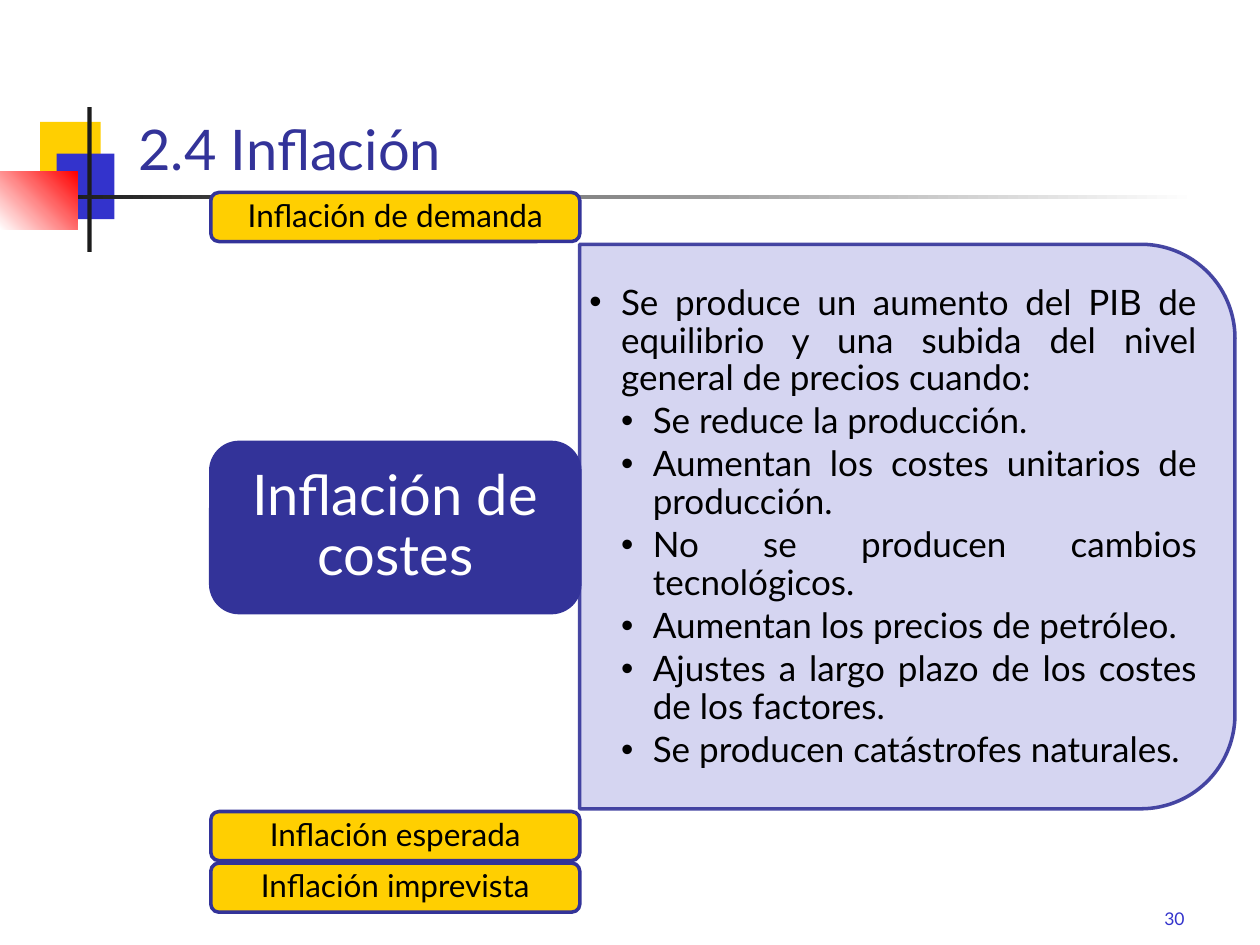
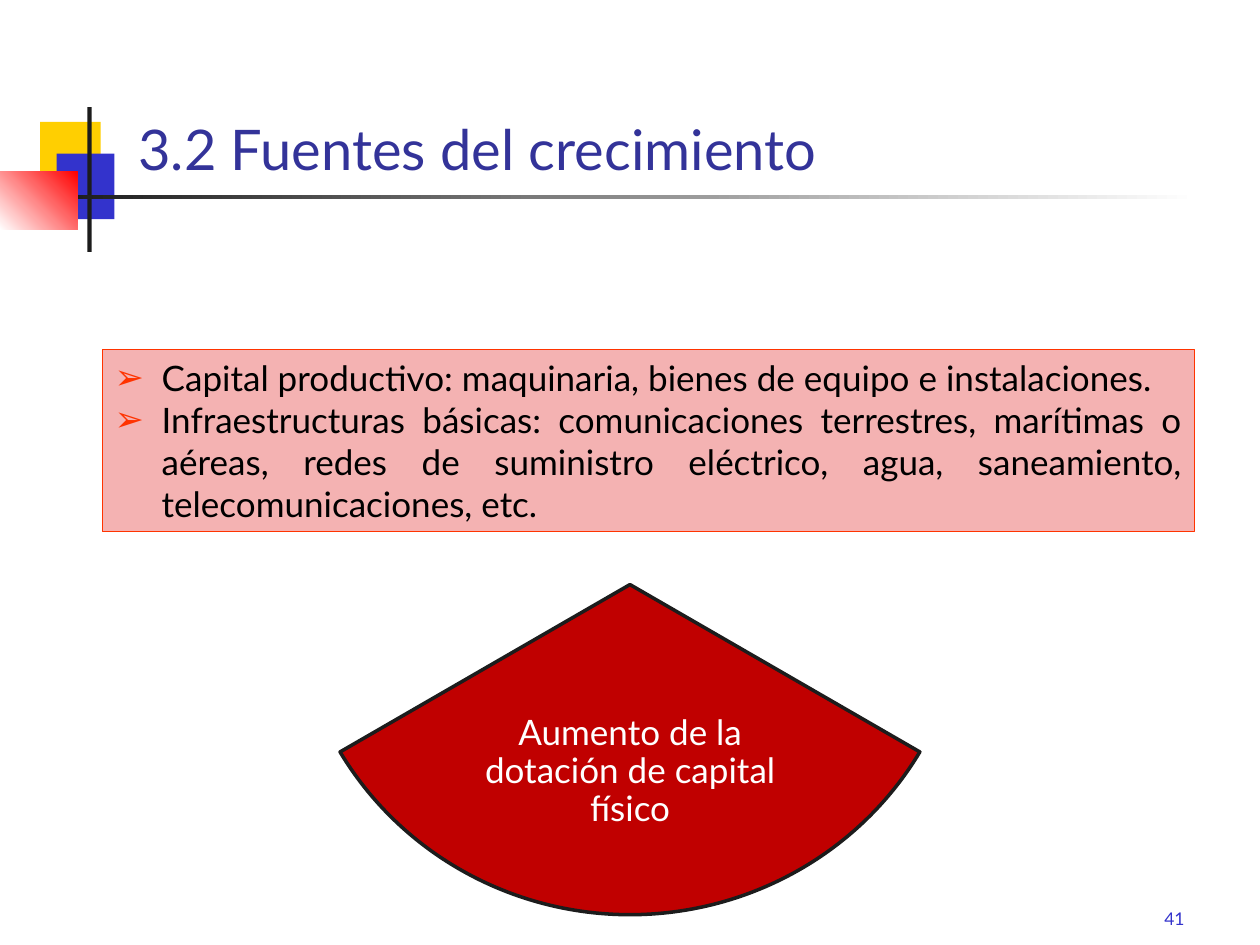
"""Build two economics slides on inflation and sources of growth."""
from dataclasses import dataclass
from typing import Any, NamedTuple, Optional

import lxml.etree
import pptx
import pptx.dml.color
import pptx.enum.shapes
import pptx.enum.text
import pptx.oxml.ns
import pptx.util

Cm = pptx.util.Cm
Pt = pptx.util.Pt
qn = pptx.oxml.ns.qn
SHAPE = pptx.enum.shapes.MSO_SHAPE
ALIGN = pptx.enum.text.PP_ALIGN
ANCHOR = pptx.enum.text.MSO_ANCHOR


@dataclass(frozen=True)
class Theme:
    font: str = "Lato"
    black: str = "000000"
    white: str = "FFFFFF"
    ink: str = "1C1C1C"
    navy: str = "333399"
    blue: str = "3333CC"
    yellow: str = "FFCF01"
    red: str = "FF0000"
    lavender: str = "D1D1F0"
    crimson: str = "C00000"
    pink: str = "F4B2B2"
    orange: str = "FF3300"
    title_size: int = 32
    body_size: int = 20
    label_size: int = 18
    number_size: int = 10


T = Theme()


class Box(NamedTuple):
    left: float
    top: float
    width: float
    height: float


class Block(NamedTuple):
    box: Box
    color: str
    fade_to: Optional[str] = None
    angle: int = 0


class Label(NamedTuple):
    text: str
    top: float
    height: float = 0.99
    fill: str = T.yellow
    color: str = T.black
    size: int = T.label_size
    inset: tuple[float, float] = (0.18, 0.1)


class Item(NamedTuple):
    text: str
    level: int = 0


@dataclass(frozen=True)
class ListStyle:
    bullet: str
    bullet_color: str
    indent: float
    spacing: float
    after: int
    inset: tuple[float, float]


BLOCKS = [
    Block(Box(0.81, 2.46, 1.22, 1.32), T.yellow),
    Block(Box(1.14, 3.1, 1.17, 1.32), T.blue),
    Block(Box(1.76, 2.16, 0.09, 2.92), T.ink),
    Block(Box(1.27, 3.93, 22.86, 0.08), T.ink, T.white),
    Block(Box(0, 3.45, 1.56, 1.18), T.white, T.red, 45),
]
TITLE_BOX = Box(2.54, 0.84, 21.59, 2.97)
NUMBER_BOX = Box(18.85, 17.58, 5.28, 1.27)

LABEL_LEFT, LABEL_WIDTH = 4.25, 7.44
LABELS = [
    Label("Inflación de demanda", 3.88),
    Label("Inflación de costes", 8.92, 3.43, T.navy, T.white, T.title_size, (0.33, 0.18)),
    Label("Inflación esperada", 16.36),
    Label("Inflación imprevista", 17.4),
]
COST_ITEMS = [
    Item("Se produce un aumento del PIB de equilibrio y una subida del nivel general de precios cuando:"),
    Item("Se reduce la producción.", 1),
    Item("Aumentan los costes unitarios de producción.", 1),
    Item("No se producen cambios tecnológicos.", 1),
    Item("Aumentan los precios de petróleo.", 1),
    Item("Ajustes a largo plazo de los costes de los factores.", 1),
    Item("Se producen catástrofes naturales.", 1),
]
CAPITAL_ITEMS = [
    Item("Capital productivo: maquinaria, bienes de equipo e instalaciones."),
    Item("Infraestructuras básicas: comunicaciones terrestres, marítimas o aéreas, redes de "
         "suministro eléctrico, agua, saneamiento, telecomunicaciones, etc."),
]
COST_STYLE = ListStyle("•", T.black, 0.64, 0.9, 3, (0.2, 0.1))
CAPITAL_STYLE = ListStyle("➢", T.orange, 0.95, 1.0, 0, (0.25, 0.13))


def rgb(color: str) -> pptx.dml.color.RGBColor:
    return pptx.dml.color.RGBColor.from_string(color)


def apply(obj: Any, values: dict[str, Any]) -> None:
    for name, value in values.items():
        setattr(obj, name, value)


def place(sp: Any, box: Box) -> None:
    apply(sp, {name: Cm(value) for name, value in box._asdict().items()})


def paint(sp: Any, fill: str, line: Optional[str] = None, width: float = 2) -> None:
    sp.fill.solid()
    sp.fill.fore_color.rgb = rgb(fill)
    if line:
        sp.line.color.rgb = rgb(line)
        sp.line.width = Pt(width)
    else:
        sp.line.fill.background()


def add_shape(s: Any, kind: Any, box: Box, fill: str, line: Optional[str] = None) -> Any:
    sp = s.shapes.add_shape(kind, *map(Cm, box))
    sp.shadow.inherit = False
    paint(sp, fill, line)
    return sp


def set_frame(tf: Any, anchor: Any, inset: tuple[float, float] = (0.25, 0.13)) -> None:
    x, y = map(Cm, inset)
    apply(tf, {"word_wrap": True, "auto_size": pptx.enum.text.MSO_AUTO_SIZE.NONE,
               "vertical_anchor": anchor, "margin_left": x, "margin_right": x,
               "margin_top": y, "margin_bottom": y})


def write(p: Any, text: str, size: int, color: str, align: Any,
          spacing: float = 0.9, after: int = 0) -> None:
    apply(p, {"alignment": align, "line_spacing": spacing,
              "space_before": Pt(0), "space_after": Pt(after)})
    r = p.add_run()
    r.text = text
    apply(r.font, {"name": T.font, "size": Pt(size)})
    r.font.color.rgb = rgb(color)


def add_bullet(p: Any, level: int, style: ListStyle) -> None:
    p.level = level
    pPr = p._p.get_or_add_pPr()
    pPr.set("marL", str(Cm(style.indent * (level + 1))))
    pPr.set("indent", str(-Cm(style.indent)))
    color = lxml.etree.SubElement(pPr, qn("a:buClr"))
    lxml.etree.SubElement(color, qn("a:srgbClr"), val=style.bullet_color)
    lxml.etree.SubElement(pPr, qn("a:buFont"), typeface="Arial")
    lxml.etree.SubElement(pPr, qn("a:buChar"), char=style.bullet)


def fill_list(body: Any, box: Box, items: list[Item], style: ListStyle) -> None:
    place(body, box)
    tf = body.text_frame
    set_frame(tf, ANCHOR.MIDDLE, style.inset)
    for i, item in enumerate(items):
        p = tf.add_paragraph() if i else tf.paragraphs[0]
        add_bullet(p, item.level, style)
        write(p, item.text, T.body_size, T.black, ALIGN.JUSTIFY, style.spacing, style.after)


def add_text(s: Any, box: Box, text: str, size: int, color: str, align: Any,
             anchor: Any, inset: tuple[float, float] = (0.25, 0.13)) -> None:
    tf = s.shapes.add_textbox(*map(Cm, box)).text_frame
    set_frame(tf, anchor, inset)
    write(tf.paragraphs[0], text, size, color, align, 1.0 if anchor == ANCHOR.BOTTOM else 0.9)


def add_block(s: Any, block: Block) -> None:
    sp = add_shape(s, SHAPE.RECTANGLE, block.box, block.color)
    if block.fade_to:
        sp.fill.gradient()
        sp.fill.gradient_angle = block.angle
        for stop, color in zip(sp.fill.gradient_stops, (block.color, block.fade_to)):
            stop.color.rgb = rgb(color)


def add_label(s: Any, label: Label) -> None:
    box = Box(LABEL_LEFT, label.top, LABEL_WIDTH, label.height)
    tf = add_shape(s, SHAPE.ROUNDED_RECTANGLE, box, label.fill, T.navy).text_frame
    set_frame(tf, ANCHOR.MIDDLE, label.inset)
    write(tf.paragraphs[0], label.text, label.size, label.color, ALIGN.CENTER)


def add_slide(prs: Any, title: str, number: str) -> Any:
    s = prs.slides.add_slide(prs.slide_layouts[1])
    for block in BLOCKS:
        add_block(s, block)
    sp = s.shapes.title
    place(sp, TITLE_BOX)
    set_frame(sp.text_frame, ANCHOR.BOTTOM)
    write(sp.text_frame.paragraphs[0], title, T.title_size, T.navy, ALIGN.LEFT)
    add_text(s, NUMBER_BOX, number, T.number_size, T.blue, ALIGN.RIGHT, ANCHOR.BOTTOM)
    return s


def build_inflation(prs: Any) -> None:
    s = add_slide(prs, "2.4 Inflación", "30")
    panel = add_shape(s, SHAPE.ROUND_2_SAME_RECTANGLE, Box(12.6, 4.01, 11.38, 13.21),
                      T.lavender, T.navy)
    panel.rotation = 90
    for color in panel._element.spPr.iter(qn("a:srgbClr")):
        lxml.etree.SubElement(color, qn("a:alpha"), val="90000")
    body = s.placeholders[1]
    fill_list(body, Box(11.68, 5.49, 12.65, 10.29), COST_ITEMS, COST_STYLE)
    panel._element.addnext(body._element)
    for label in LABELS:
        add_label(s, label)


def build_growth(prs: Any) -> None:
    s = add_slide(prs, "3.2 Fuentes del crecimiento", "41")
    pie = add_shape(s, SHAPE.PIE, Box(5.92, 5.13, 13.56, 13.31), T.crimson, T.ink)
    pie.adjustments[0], pie.adjustments[1] = 18, 90
    add_text(s, Box(9.63, 13.51, 6.15, 4.11), "Aumento de la dotación de capital físico",
             T.body_size, T.white, ALIGN.CENTER, ANCHOR.MIDDLE, (0.08, 0.08))
    body = s.placeholders[1]
    fill_list(body, Box(2.06, 7.04, 22.02, 3.68), CAPITAL_ITEMS, CAPITAL_STYLE)
    paint(body, T.pink, T.orange, 0.75)


def main() -> None:
    prs = pptx.Presentation()
    apply(prs, {"slide_width": Cm(25.4), "slide_height": Cm(19.05)})
    build_inflation(prs)
    build_growth(prs)
    prs.save("out.pptx")


if __name__ == "__main__":
    main()
